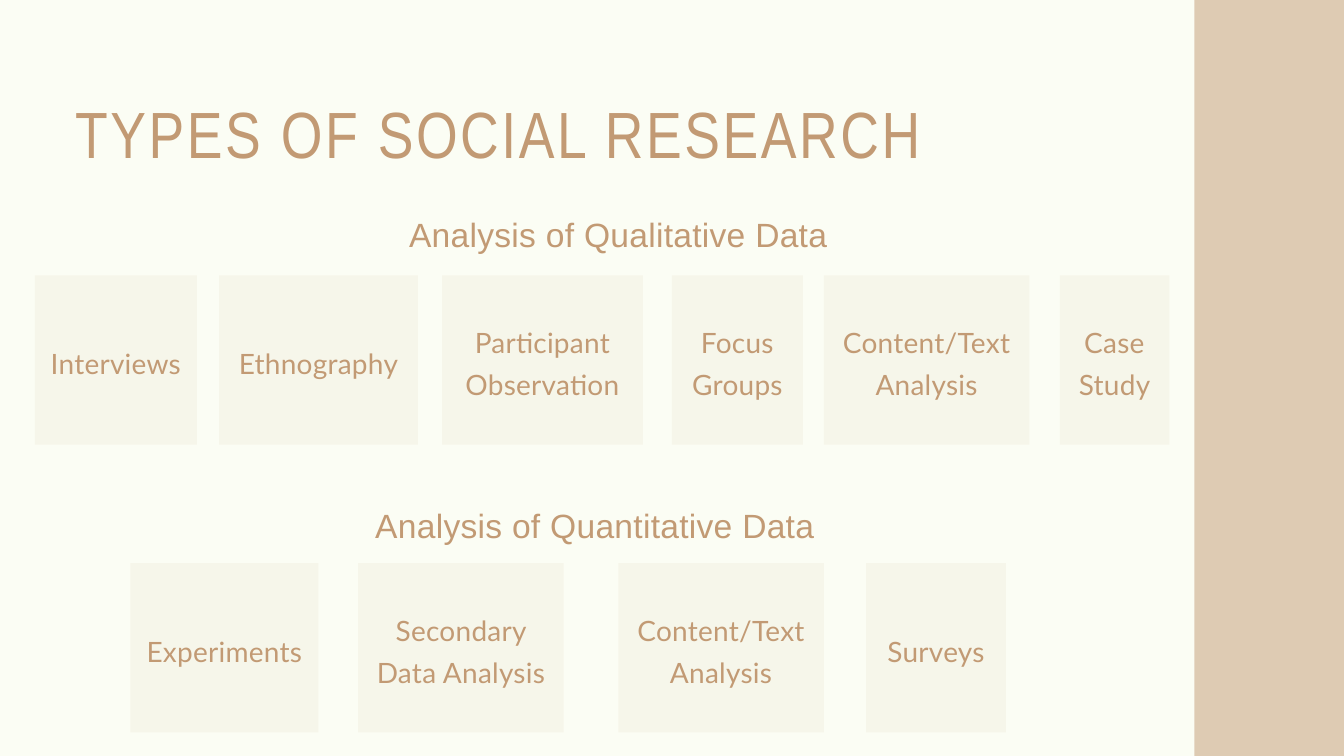
from dataclasses import dataclass

from lxml.etree import SubElement
from pptx import Presentation
from pptx.dml.color import RGBColor
from pptx.enum.shapes import MSO_SHAPE
from pptx.enum.text import MSO_AUTO_SIZE, PP_ALIGN
from pptx.oxml.ns import qn
from pptx.shapes.autoshape import Shape
from pptx.shapes.shapetree import GroupShapes, SlideShapes
from pptx.util import Cm, Pt


@dataclass(frozen=True)
class TextStyle:
    font: str
    size: float
    line_height: float
    tracking: float
    align: PP_ALIGN = PP_ALIGN.CENTER


@dataclass(frozen=True)
class Theme:
    background: RGBColor = RGBColor(0xFB, 0xFD, 0xF4)
    accent: RGBColor = RGBColor(0xC2, 0x9A, 0x74)
    band_opacity: int = 50
    card_opacity: int = 7
    title: TextStyle = TextStyle("Arial Narrow", 70, 84, 2.8, PP_ALIGN.LEFT)
    heading: TextStyle = TextStyle("Arial", 36, 54, 0.3)
    label: TextStyle = TextStyle("Lato", 30, 45, 0.3)


@dataclass(frozen=True)
class Box:
    """Position and size in centimetres."""
    left: float
    top: float
    width: float
    height: float

    def lengths(self) -> tuple[Cm, Cm, Cm, Cm]:
        return Cm(self.left), Cm(self.top), Cm(self.width), Cm(self.height)


@dataclass(frozen=True)
class Method:
    left: float
    width: float
    paragraphs: tuple[str, ...]
    line_count: int = 1


@dataclass(frozen=True)
class Family:
    heading: str
    heading_box: Box
    cards_top: float
    methods: tuple[Method, ...]


THEME = Theme()
CARD_HEIGHT = 6.4
LABEL_MARGIN = 0.08  # share of the card width on each side
LABEL_RAISE = 0.1
LABEL_LINE = 1.59

CONTENT_ANALYSIS = ("Content/Text", "Analysis")

FAMILIES = (
    Family(
        "Analysis of Qualitative Data", Box(14, 7.72, 18.75, 1.8), 10.41,
        (
            Method(1.32, 6.12, ("Interviews",)),
            Method(8.28, 7.52, ("Ethnography",)),
            Method(16.71, 7.59, ("Participant", "Observation"), 2),
            Method(25.4, 4.95, ("Focus Groups",), 2),
            Method(31.14, 7.77, CONTENT_ANALYSIS, 2),
            Method(40.06, 4.14, ("Case Study",), 2),
        ),
    ),
    Family(
        "Analysis of Quantitative Data", Box(12.04, 18.69, 20.9, 1.8), 21.29,
        (
            Method(4.93, 7.11, ("Experiments",)),
            Method(13.54, 7.77, ("Secondary Data Analysis",), 2),
            Method(23.37, 7.77, CONTENT_ANALYSIS, 2),
            Method(32.74, 5.28, ("Surveys",)),
        ),
    ),
)


def add_tint(shapes: SlideShapes | GroupShapes, box: Box, opacity: int) -> Shape:
    """Add a borderless rectangle in the accent colour, opacity in percent."""
    tint = shapes.add_shape(MSO_SHAPE.RECTANGLE, *box.lengths())
    tint.shadow.inherit = False
    tint.line.fill.background()
    tint.fill.solid()
    tint.fill.fore_color.rgb = THEME.accent
    color = tint.fill._xPr.find(qn("a:solidFill"))[0]
    SubElement(color, qn("a:alpha")).set("val", str(opacity * 1000))
    return tint


def add_text(shapes: SlideShapes | GroupShapes, box: Box,
             paragraphs: tuple[str, ...], style: TextStyle) -> None:
    frame = shapes.add_textbox(*box.lengths()).text_frame
    frame.word_wrap = True
    frame.auto_size = MSO_AUTO_SIZE.SHAPE_TO_FIT_TEXT
    frame.margin_left = frame.margin_right = Cm(0)
    frame.margin_top = frame.margin_bottom = Cm(0)
    for index, wording in enumerate(paragraphs):
        paragraph = frame.add_paragraph() if index else frame.paragraphs[0]
        paragraph.alignment = style.align
        paragraph.line_spacing = Pt(style.line_height)
        run = paragraph.add_run()
        run.text = wording
        run.font.name = style.font
        run.font.size = Pt(style.size)
        run.font.color.rgb = THEME.accent
        run.font._element.set("spc", str(round(style.tracking * 100)))


def add_card(shapes: SlideShapes, method: Method, top: float) -> None:
    card = shapes.add_group_shape().shapes
    add_tint(card, Box(method.left, top, method.width, CARD_HEIGHT),
             THEME.card_opacity)
    margin = method.width * LABEL_MARGIN
    height = method.line_count * LABEL_LINE - 0.12
    label_top = top + (CARD_HEIGHT - height) / 2 - LABEL_RAISE
    label_box = Box(method.left + margin, label_top,
                    method.width - 2 * margin, height)
    add_text(card, label_box, method.paragraphs, THEME.label)


def main() -> None:
    deck = Presentation()
    deck.slide_width, deck.slide_height = Cm(50.8), Cm(28.58)
    slide = deck.slides.add_slide(deck.slide_layouts[6])
    slide.background.fill.solid()
    slide.background.fill.fore_color.rgb = THEME.background

    side_band = add_tint(slide.shapes, Box(33.3, 11.13, 30.02, 6.32),
                         THEME.band_opacity)
    side_band.rotation = 270
    add_text(slide.shapes, Box(2.84, 3.51, 39.27, 2.95),
             ("TYPES OF SOCIAL RESEARCH",), THEME.title)
    for family in FAMILIES:
        add_text(slide.shapes, family.heading_box, (family.heading,),
                 THEME.heading)
        for method in family.methods:
            add_card(slide.shapes, method, family.cards_top)

    deck.save("out.pptx")


if __name__ == "__main__":
    main()
